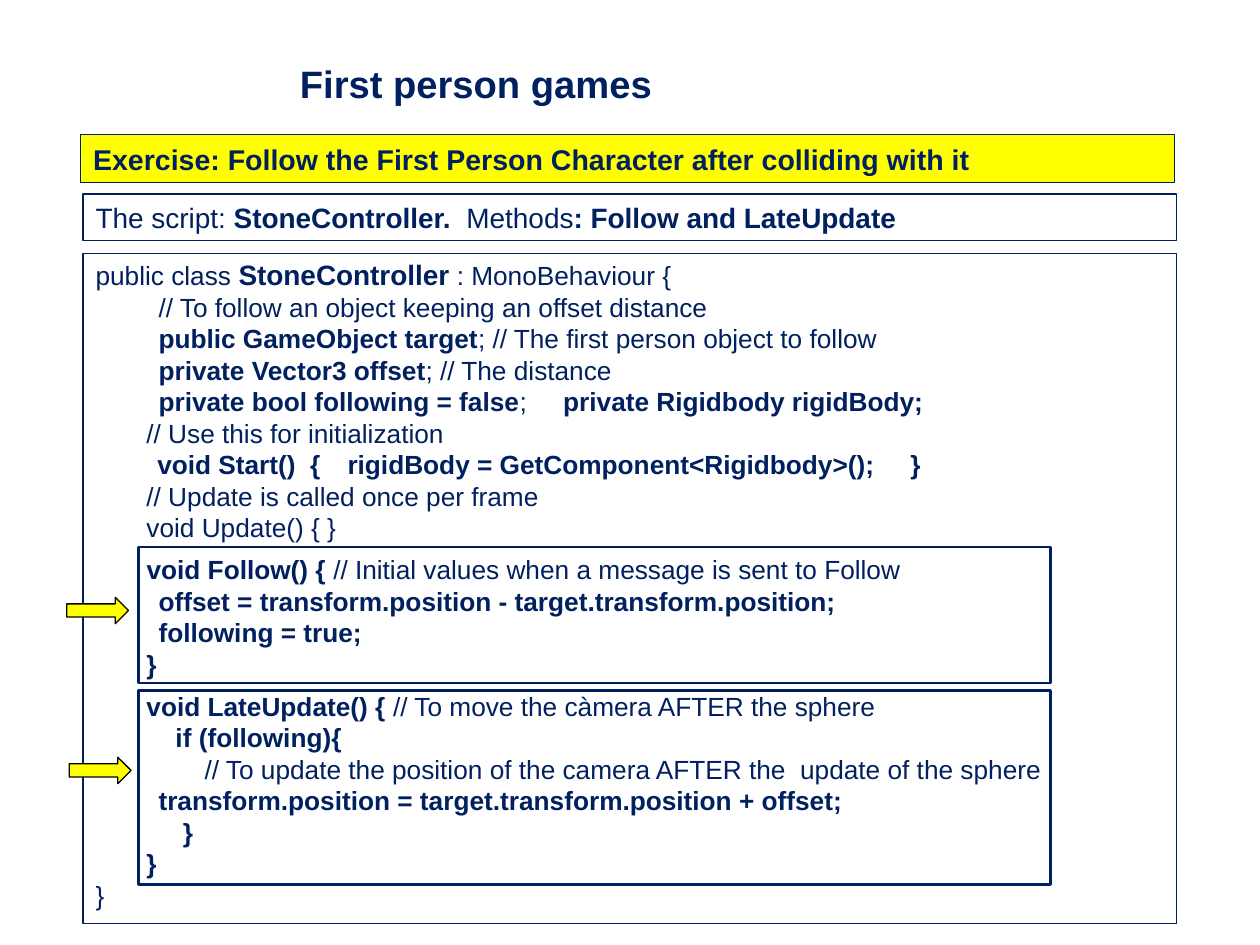
from lxml import etree
from pptx import Presentation
from pptx.dml.color import RGBColor
from pptx.enum.shapes import MSO_SHAPE
from pptx.enum.text import MSO_ANCHOR, PP_ALIGN
from pptx.oxml.ns import qn
from pptx.util import Inches, Pt

RECTANGLE, ARROW = MSO_SHAPE.RECTANGLE, MSO_SHAPE.RIGHT_ARROW
TOP, MIDDLE, LEFT = MSO_ANCHOR.TOP, MSO_ANCHOR.MIDDLE, PP_ALIGN.LEFT
TITLE_ONLY = 5

NAVY = RGBColor(0x00, 0x20, 0x60)
YELLOW = RGBColor(0xFF, 0xFF, 0x00)
BLACK = RGBColor(0x00, 0x00, 0x00)

PANEL_LEFT, PANEL_WIDTH = 0.66, 8.68
METHOD_LEFT, METHOD_WIDTH = 1.1, 7.24
CODE_SIZE, CODE_PITCH = 15, 18
TAB_STOPS = (1, 2)

# Each line: text with *bold* spans, left margin, first-line indent, space before.
CODE = [
    ("// To follow an object keeping an offset distance", 0.5, 0, 0),
    ("*public GameObject target*; // The first person object to follow", 0.5, 0, 0),
    ("*private Vector3 offset*; // The distance", 0.5, 0, 0),
    ("*private bool following = false*;  *   private Rigidbody rigidBody;*", 0.5, 0, 0),
    ("       // Use this for initialization", 0, 0, 0),
    ("*void Start()  { \trigidBody = GetComponent<Rigidbody>();     }*", 0, 0.49, 0),
    ("       // Update is called once per frame", 0, 0, 0),
    ("       void Update() { }", 0, 0, 0),
    ("       *void Follow() { *// Initial values when a message is sent to Follow", 0, 0, 6),
    ("*\toffset = transform.position - target.transform.position;*", 0, 0, 0),
    ("*\tfollowing = true;*", 0, 0, 0),
    ("*       }*", 0, 0, 0),
    ("*       void LateUpdate() { *// To move the càmera AFTER the sphere", 0, 0, 6),
    ("*           if (following){*", 0, 0, 0),
    ("               // To update the position of the camera AFTER the  update of the sphere",
     0, 0, 0),
    ("*\ttransform.position = target.transform.position + offset;*", 0, 0, 0),
    ("*            }*", 0, 0, 0),
    ("*       }*", 0, 0, 0),
    ("}", 0, 0, 0),
]


def add_spans(para, text, size, bold_size=None):
    """Add runs to a paragraph, reading *...* as bold."""
    for index, part in enumerate(text.split("*")):
        if part:
            bold = index % 2 == 1
            span = para.add_run()
            span.text = part
            span.font.name = "Arial"
            span.font.size = Pt(bold_size if bold and bold_size else size)
            span.font.bold = bold
            span.font.color.rgb = NAVY


def add_box(slide, kind, left, top, width, height, fill=None, line=NAVY, weight=0.75):
    box = slide.shapes.add_shape(
        kind, Inches(left), Inches(top), Inches(width), Inches(height))
    box.shadow.inherit = False
    if fill is None:
        box.fill.background()
    else:
        box.fill.solid()
        box.fill.fore_color.rgb = fill
    box.line.color.rgb = line
    box.line.width = Pt(weight)
    return box


def open_text(box, anchor):
    """Prepare a left-aligned text frame and return its first paragraph."""
    frame = box.text_frame
    frame.word_wrap = True
    frame.vertical_anchor = anchor
    para = frame.paragraphs[0]
    para.alignment = LEFT
    return para


def add_title(slide, text):
    title = slide.shapes.title
    title.left, title.top = Inches(2.29), Inches(0.37)
    title.width, title.height = Inches(4.86), Inches(0.54)
    para = open_text(title, TOP)
    frame = title.text_frame
    frame.margin_left = frame.margin_right = Inches(0.09)
    frame.margin_top, frame.margin_bottom = Inches(0.11), Inches(0.04)
    add_spans(para, text, 21.8)


def add_banner(slide, text, left, top, height, size, fill=None):
    box = add_box(slide, RECTANGLE, left, top, PANEL_WIDTH, height, fill)
    add_spans(open_text(box, MIDDLE), text, size)


def format_code_line(para, margin, indent, before):
    para.alignment = LEFT
    para.line_spacing = Pt(CODE_PITCH)
    para.space_before = Pt(before)
    properties = para._p.get_or_add_pPr()
    properties.set("marL", str(Inches(margin)))
    properties.set("indent", str(Inches(indent)))
    tabs = etree.SubElement(properties, qn("a:tabLst"))
    for stop in TAB_STOPS:
        etree.SubElement(tabs, qn("a:tab"), pos=str(Inches(stop)), algn="l")


def add_code(slide):
    box = add_box(slide, RECTANGLE, PANEL_LEFT, 2.01, PANEL_WIDTH, 5.32)
    first = open_text(box, TOP)
    format_code_line(first, 0, 0, 0)
    add_spans(first, "public class *StoneController* : MonoBehaviour {", CODE_SIZE, 16)
    for text, margin, indent, before in CODE:
        para = box.text_frame.add_paragraph()
        format_code_line(para, margin, indent, before)
        add_spans(para, text, CODE_SIZE)


def main():
    deck = Presentation()
    deck.slide_width, deck.slide_height = Inches(10), Inches(7.5)
    slide = deck.slides.add_slide(deck.slide_layouts[TITLE_ONLY])

    add_title(slide, "*First person games*")
    add_banner(slide, "*Exercise: Follow the First Person Character after colliding with it*",
               0.64, 1.07, 0.38, 16.3, YELLOW)
    add_banner(slide, "The script: *StoneController.  *Methods*: Follow and LateUpdate*",
               PANEL_LEFT, 1.54, 0.37, 16)
    add_code(slide)
    for top, height in ((4.34, 1.08), (5.48, 1.54)):
        add_box(slide, RECTANGLE, METHOD_LEFT, top, METHOD_WIDTH, height, weight=1.5)
    for left, top in ((0.53, 4.74), (0.55, 6.01)):
        add_box(slide, ARROW, left, top, 0.49, 0.21, YELLOW, BLACK)

    deck.save("out.pptx")


if __name__ == "__main__":
    main()
